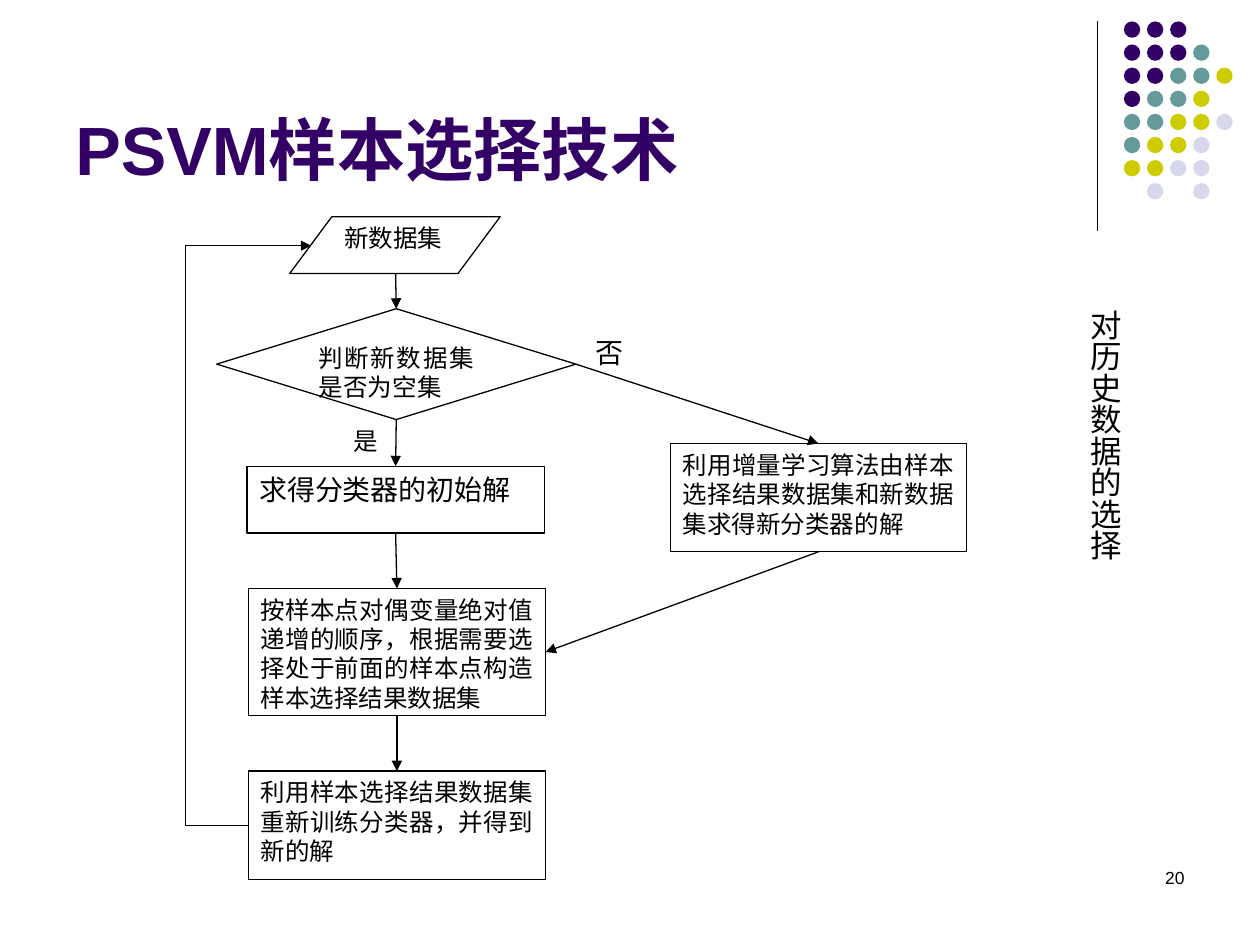
"""Build the sample selection flowchart slide."""
import pptx
import pptx.util
import pptx.dml.color
import pptx.enum.shapes
import pptx.enum.text
import pptx.oxml
import pptx.oxml.ns

Inches = pptx.util.Inches
Pt = pptx.util.Pt
KIND = pptx.enum.shapes.MSO_SHAPE
ALIGN = pptx.enum.text.PP_ALIGN
ANCHOR = pptx.enum.text.MSO_ANCHOR
FIT = pptx.enum.text.MSO_AUTO_SIZE
LINK = pptx.enum.shapes.MSO_CONNECTOR.STRAIGHT
QN = pptx.oxml.ns.qn
NOTO = "Noto Sans CJK SC"
TIMES = "Times New Roman"
TOP, LEFT, BOTTOM, RIGHT = range(4)
SHADES = {"P": "330066", "T": "669999", "Y": "CCCC00", "L": "D8D8EC"}
DOTS = ["PPP", "PPPT", "PPTTY", "PTTY", "TTYYL", "TYYL", "YYLL", " L L"]


def paint(tone):
    """Turn a hex string into a colour."""
    return pptx.dml.color.RGBColor.from_string(tone)


def apply(item, values):
    """Set every attribute named in a dict of values."""
    for name, value in values.items():
        setattr(item, name, value)


def write(shape, text, size, face=NOTO, align=ALIGN.JUSTIFY, tone="000000", bold=False, **frame):
    """Write one formatted paragraph into a shape."""
    apply(shape.text_frame, {"word_wrap": True, "vertical_anchor": ANCHOR.TOP, **frame})
    para = shape.text_frame.paragraphs[0]
    para.alignment = align
    run = para.add_run()
    run.text = text
    apply(run.font, {"size": Pt(size), "name": face, "bold": bold})
    run.font.color.rgb = paint(tone)
    east = pptx.oxml.parse_xml(f'<a:ea {pptx.oxml.ns.nsdecls("a")} typeface="{NOTO}"/>')
    run.font._element.find(QN("a:latin")).addnext(east)


def draw(slide, kind, spot, fill, edge=None):
    """Add a filled shape with an optional outline."""
    shape = slide.shapes.add_shape(kind, *map(Inches, spot))
    shape.shadow.inherit = False
    shape.fill.solid()
    shape.fill.fore_color.rgb = paint(fill)
    if edge:
        shape.line.color.rgb = paint(edge)
        shape.line.width = Pt(0.75)
    else:
        shape.line.fill.background()
    return shape


def step(slide, kind, spot, text, size=14, face=NOTO):
    """Add one step of the flowchart."""
    shape = draw(slide, kind, spot, "FFFFFF", "000000")
    write(shape, text, size, face)
    return shape


def label(slide, spot, text, size, **style):
    """Add a text box."""
    box = slide.shapes.add_textbox(*map(Inches, spot))
    write(box, text, size, **style)
    return box


def link(slide, start, end, arrow=True):
    """Join two ends, each a point or a shape with a side."""
    line = slide.shapes.add_connector(LINK, 0, 0, 0, 0)
    ends = [(start, "begin", line.begin_connect), (end, "end", line.end_connect)]
    for (first, second), name, join in ends:
        if isinstance(first, (int, float)):
            apply(line, {f"{name}_x": Inches(first), f"{name}_y": Inches(second)})
        else:
            join(first, second)
    line.line.color.rgb = paint("000000")
    line.line.width = Pt(0.75)
    props = line._element.spPr
    props.append(props.makeelement(QN("a:effectLst"), {}))
    if arrow:
        edge = props.find(QN("a:ln"))
        edge.append(edge.makeelement(QN("a:tailEnd"), {"type": "triangle"}))


def dots(slide):
    """Draw the grid of corner dots."""
    pitch = 0.55 / 3
    for row, marks in enumerate(DOTS):
        for col, mark in enumerate(marks):
            if mark in SHADES:
                spot = (8.92 + col * pitch, 0.17 + row * pitch, 0.13, 0.13)
                draw(slide, KIND.OVAL, spot, SHADES[mark])


def flow(slide):
    """Draw the steps, their links and the branch labels."""
    box = KIND.FLOWCHART_PROCESS
    step(slide, KIND.FLOWCHART_DATA, (2.3, 1.72, 1.67, 0.45), "新数据集", face=TIMES)
    test = step(slide, KIND.FLOWCHART_DECISION, (1.72, 2.45, 2.85, 0.88),
                "判断新数据集是否为空集", face=TIMES)
    grow = step(slide, box, (5.32, 3.52, 2.35, 0.86),
                "利用增量学习算法由样本选择结果数据集和新数据集求得新分类器的解")
    pick = step(slide, box, (1.97, 4.67, 2.36, 1.01),
                "按样本点对偶变量绝对值递增的顺序，根据需要选择处于前面的样本点构造样本选择结果数据集")
    train = step(slide, box, (1.97, 6.12, 2.36, 0.86),
                 "利用样本选择结果数据集重新训练分类器，并得到新的解")
    first = step(slide, box, (1.96, 3.7, 2.36, 0.53), "求得分类器的初始解", 16)

    link(slide, (3.14, 2.17), (test, TOP))
    for start, end in [(test, first), (first, pick), (pick, train)]:
        link(slide, (start, BOTTOM), (end, TOP))
    link(slide, (test, RIGHT), (grow, TOP))
    link(slide, (grow, BOTTOM), (pick, RIGHT))
    link(slide, (train, LEFT), (1.47, 6.55), arrow=False)
    link(slide, (1.47, 6.55), (1.47, 1.95), arrow=False)
    link(slide, (1.47, 1.95), (2.47, 1.95))

    label(slide, (4.63, 2.61, 0.3, 0.39), "否", 16, face=TIMES)
    label(slide, (2.71, 3.33, 0.34, 0.34), "是", 14, face=TIMES)


def main():
    """Build and save the slide."""
    deck = pptx.Presentation()
    apply(deck, {"slide_width": Inches(10), "slide_height": Inches(7.5)})
    slide = deck.slides.add_slide(deck.slide_layouts[6])
    link(slide, (8.71, 0.17), (8.71, 1.83), arrow=False)
    dots(slide)
    label(slide, (0.5, 0.13, 8.25, 1.42), "PSVM样本选择技术", 39, face="Arial",
          align=ALIGN.LEFT, tone="330066", bold=True, vertical_anchor=ANCHOR.BOTTOM)
    flow(slide)
    side = label(slide, (8.47, 2.36, 0.5, 2.17), "对历史数据的选择", 18, face="Arial",
                 align=ALIGN.LEFT, word_wrap=False, auto_size=FIT.SHAPE_TO_FIT_TEXT)
    side._element.txBody.find(QN("a:bodyPr")).set("vert", "eaVert")
    label(slide, (7.17, 6.83, 2.33, 0.5), "20", 10, face="Arial", align=ALIGN.RIGHT)
    deck.save("out.pptx")


if __name__ == "__main__":
    main()
